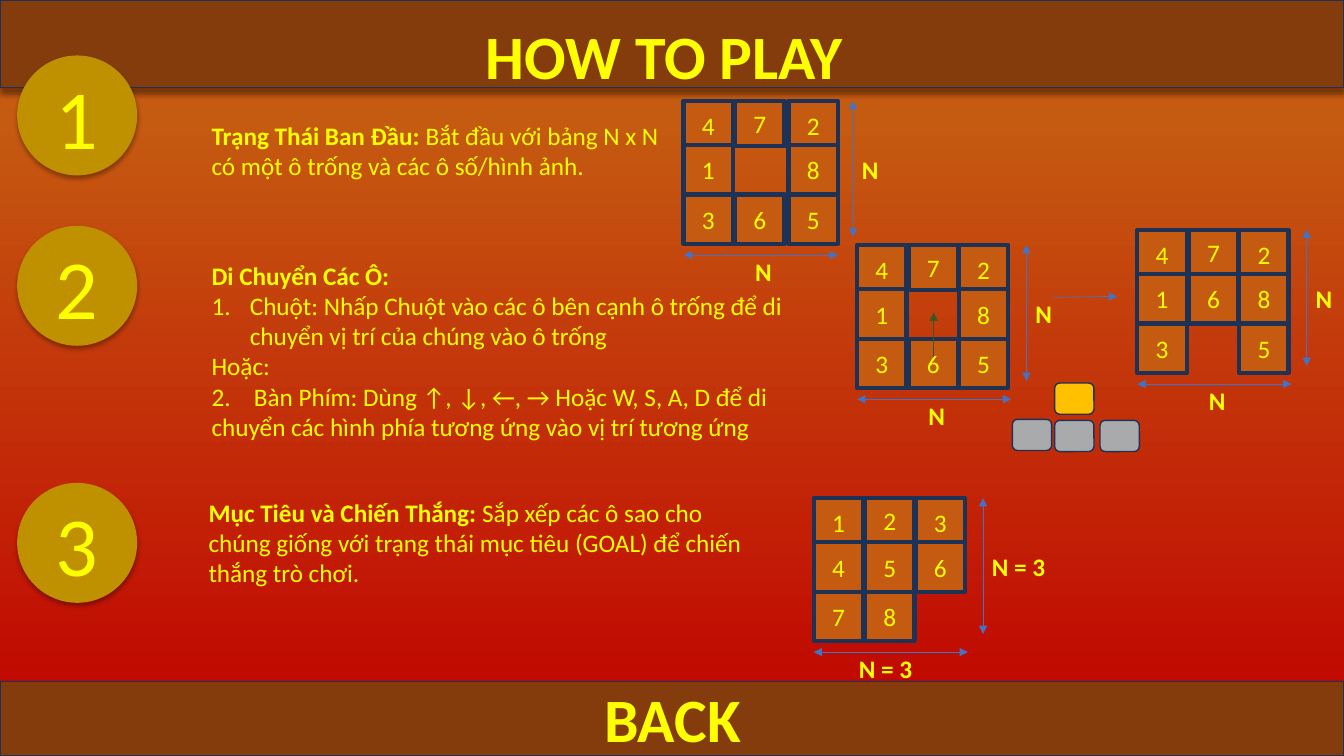
from dataclasses import dataclass
from typing import Any

from lxml import etree
from pptx import Presentation
from pptx.dml.color import RGBColor
from pptx.enum import shapes as kinds, text as text_enum
from pptx.oxml.ns import qn
from pptx.util import Inches, Pt

YELLOW, TILE, NAVY, BLUE = "FFFF00", "C55A11", "1E3256", "4472C4"
BAR, GOLD, GREY, GREEN = "843C0C", "BF9000", "A8AAAC", "385723"
SHAPE, ANCHOR, ALIGN = kinds.MSO_SHAPE, text_enum.MSO_ANCHOR, text_enum.PP_ALIGN
TILE_SIZE = 0.49
ROW_TOPS = (0, 0.44, 0.93)


@dataclass(frozen=True)
class Box:
    left: float
    top: float
    width: float
    height: float

    def lengths(self) -> tuple:
        return tuple(Inches(v) for v in (self.left, self.top, self.width, self.height))


@dataclass(frozen=True)
class Shadow:
    alpha: int
    blur: float
    distance: float


@dataclass(frozen=True)
class Run:
    text: str
    bold: bool = False


@dataclass(frozen=True)
class Board:
    left: float
    top: float
    rows: tuple[str, str, str]
    label: str = "N"
    label_left: float = 0.61
    label_width: float = 0.21
    last_column: float = 1.01


BAR_SHADOW, BADGE_SHADOW = Shadow(40, 4, 3), Shadow(32, 3.5, 2.2)
BADGE_TOPS = (0.55, 2.24, 4.79)
BOARDS = (
    Board(6.78, 1, ("472", "1 8", "365"), last_column=1.04),
    Board(11.28, 2.28, ("472", "168", "3 5")),
    Board(8.5, 2.43, ("472", "1 8", "365")),
    Board(8.07, 4.94, ("123", "456", "78 "), "N = 3", 0.35, 0.93),
)
KEYS = ((10.46, 3.8, "FFC000"), (10.91, 4.17, GREY), (10.46, 4.17, GREY), (10.04, 4.16, GREY))
INSTRUCTIONS = (
    (Box(2, 1.14, 4.86, 0.71), [
        [Run("Trạng Thái Ban Đầu: ", True),
         Run("Bắt đầu với bảng N x N có một ô trống và các ô số/hình ảnh.")]]),
    (Box(2, 2.53, 5.97, 1.92), [
        [Run("Di Chuyển Các Ô:", True)],
        [Run("Chuột: Nhấp Chuột vào các ô bên cạnh ô trống để di chuyển vị trí của chúng vào ô trống")],
        [Run("Hoặc:")],
        [Run("2.\tBàn Phím: Dùng ↑, ↓, ←, → Hoặc W, S, A, D để di "
             "chuyển các hình phía tương ứng vào vị trí tương ứng")]]),
    (Box(1.97, 4.88, 5.5, 1.01), [
        [Run("Mục Tiêu và Chiến Thắng:", True),
         Run(" Sắp xếp các ô sao cho chúng giống với trạng thái mục tiêu (GOAL) để chiến thắng trò chơi.")]]),
)


def color(value: str) -> RGBColor:
    return RGBColor.from_string(value)


def add_node(parent: Any, tag: str, **attributes: Any) -> Any:
    return etree.SubElement(parent, qn(tag), {k: str(v) for k, v in attributes.items()})


def set_all(target: Any, values: dict[str, Any]) -> None:
    for name, value in values.items():
        setattr(target, name, value)


def add_run(paragraph: Any, run: Run, size: float) -> None:
    text_run = paragraph.add_run()
    text_run.text = run.text
    set_all(text_run.font, {"name": "Calibri", "size": Pt(size), "bold": run.bold})
    text_run.font.color.rgb = color(YELLOW)


def fill_text(shape: Any, paragraphs: list[list[Run]], size: float = 18,
              align: Any = ALIGN.LEFT, anchor: Any = ANCHOR.TOP) -> None:
    frame = shape.text_frame
    set_all(frame, {"word_wrap": True, "vertical_anchor": anchor})
    for index, runs in enumerate(paragraphs):
        paragraph = frame.add_paragraph() if index else frame.paragraphs[0]
        paragraph.alignment = align
        for run in runs:
            add_run(paragraph, run, size)


def add_text(slide: Any, box: Box, paragraphs: list[list[Run]], size: float = 18,
             align: Any = ALIGN.LEFT) -> Any:
    shape = slide.shapes.add_textbox(*box.lengths())
    fill_text(shape, paragraphs, size, align)
    shape.text_frame.auto_size = text_enum.MSO_AUTO_SIZE.SHAPE_TO_FIT_TEXT
    return shape


def add_shape(slide: Any, kind: Any, box: Box, fill: str, line_width: float = 0,
              label: str = "", size: float = 18, shadow: Shadow | None = None) -> None:
    shape = slide.shapes.add_shape(kind, *box.lengths())
    shape.fill.solid()
    shape.fill.fore_color.rgb = color(fill)
    if line_width:
        shape.line.color.rgb = color(NAVY)
        shape.line.width = Pt(line_width)
    else:
        shape.line.fill.background()
    shape.shadow.inherit = False
    if shadow:
        effects = shape.element.spPr.find(qn("a:effectLst"))
        outer = add_node(effects, "a:outerShdw", blurRad=Pt(shadow.blur),
                         dist=Pt(shadow.distance), dir=90 * 60000, algn="t", rotWithShape=0)
        add_node(add_node(outer, "a:srgbClr", val="000000"), "a:alpha", val=shadow.alpha * 1000)
    if label:
        fill_text(shape, [[Run(label)]], size, ALIGN.CENTER, ANCHOR.MIDDLE)


def add_arrow(slide: Any, start: tuple[float, float], end: tuple[float, float],
              line_color: str = BLUE, double: bool = False) -> None:
    arrow = slide.shapes.add_connector(
        kinds.MSO_CONNECTOR.STRAIGHT, *(Inches(v) for v in (*start, *end)))
    arrow.line.color.rgb = color(line_color)
    arrow.line.width = Pt(0.5)
    line = arrow.line._get_or_add_ln()
    for tag in ("a:headEnd", "a:tailEnd") if double else ("a:tailEnd",):
        add_node(line, tag, type="triangle")
    add_node(arrow.element.spPr, "a:effectLst")


def add_board(slide: Any, board: Board) -> None:
    left, top = board.left, board.top
    columns = (0, 0.51, board.last_column)
    for row, digits in enumerate(board.rows):
        for column, digit in enumerate(digits):
            if digit != " ":
                height = 0.45 if (row, column) == (0, 1) else TILE_SIZE
                box = Box(left + columns[column], top + ROW_TOPS[row], TILE_SIZE, height)
                add_shape(slide, SHAPE.RECTANGLE, box, TILE, 3, digit)
    # Size arrows and their labels
    add_arrow(slide, (left + 1.68, top), (left + 1.68, top + 1.35), double=True)
    add_arrow(slide, (left, top + 1.53), (left + 1.53, top + 1.53), double=True)
    for x, y in ((1.67, 0.48), (board.label_left, 1.49)):
        add_text(slide, Box(left + x, top + y, board.label_width, 0.4), [[Run(board.label, True)]])


def main() -> None:
    presentation = Presentation()
    set_all(presentation, {"slide_width": Inches(13.33), "slide_height": Inches(7.5)})
    slide = presentation.slides.add_slide(presentation.slide_layouts[5])

    # Background
    background = slide.background.fill
    background.gradient()
    background.gradient_angle = 270
    for stop, position, shade in zip(background.gradient_stops, (0.16, 0.99), (TILE, "C00000")):
        stop.position = position
        stop.color.rgb = color(shade)

    # Header and footer bars
    for top, height in ((0, 0.87), (6.76, 0.74)):
        add_shape(slide, SHAPE.RECTANGLE, Box(0, top, 13.33, height), BAR, 1, shadow=BAR_SHADOW)
    title = slide.shapes.title
    names = ("left", "top", "width", "height")
    set_all(title, dict(zip(names, Box(4.72, 0.13, 3.9, 0.84).lengths())))
    fill_text(title, [[Run("HOW TO PLAY", True)]], 44)
    title.text_frame.auto_size = text_enum.MSO_AUTO_SIZE.SHAPE_TO_FIT_TEXT
    slide.shapes.element.append(title.element)
    add_text(slide, Box(4.72, 6.71, 3.9, 0.84), [[Run("BACK", True)]], 44, ALIGN.CENTER)

    # Numbered steps
    for number, top in enumerate(BADGE_TOPS, 1):
        add_shape(slide, SHAPE.OVAL, Box(0.17, top, 1.19, 1.19), GOLD,
                  label=str(number), size=60, shadow=BADGE_SHADOW)
    texts = [add_text(slide, box, paragraphs) for box, paragraphs in INSTRUCTIONS]
    moves = texts[1].text_frame.paragraphs
    mouse = moves[1]._p.get_or_add_pPr()
    mouse.set("marL", str(Inches(0.38)))
    mouse.set("indent", str(-Inches(0.38)))
    add_node(mouse, "a:buFont", typeface="+mj-lt")
    add_node(mouse, "a:buAutoNum", type="arabicPeriod")
    tabs = add_node(moves[3]._p.get_or_add_pPr(), "a:tabLst")
    add_node(tabs, "a:tab", pos=Inches(0.42), algn="l")

    # Boards, arrow keys and moves
    for board in BOARDS:
        add_board(slide, board)
    for left, top, fill in KEYS:
        add_shape(slide, SHAPE.ROUNDED_RECTANGLE, Box(left, top, 0.39, 0.31), fill, 1)
    add_arrow(slide, (10.45, 2.95), (11.08, 2.94))
    add_arrow(slide, (9.26, 3.54), (9.26, 3.1), GREEN)

    presentation.save("out.pptx")


if __name__ == "__main__":
    main()
